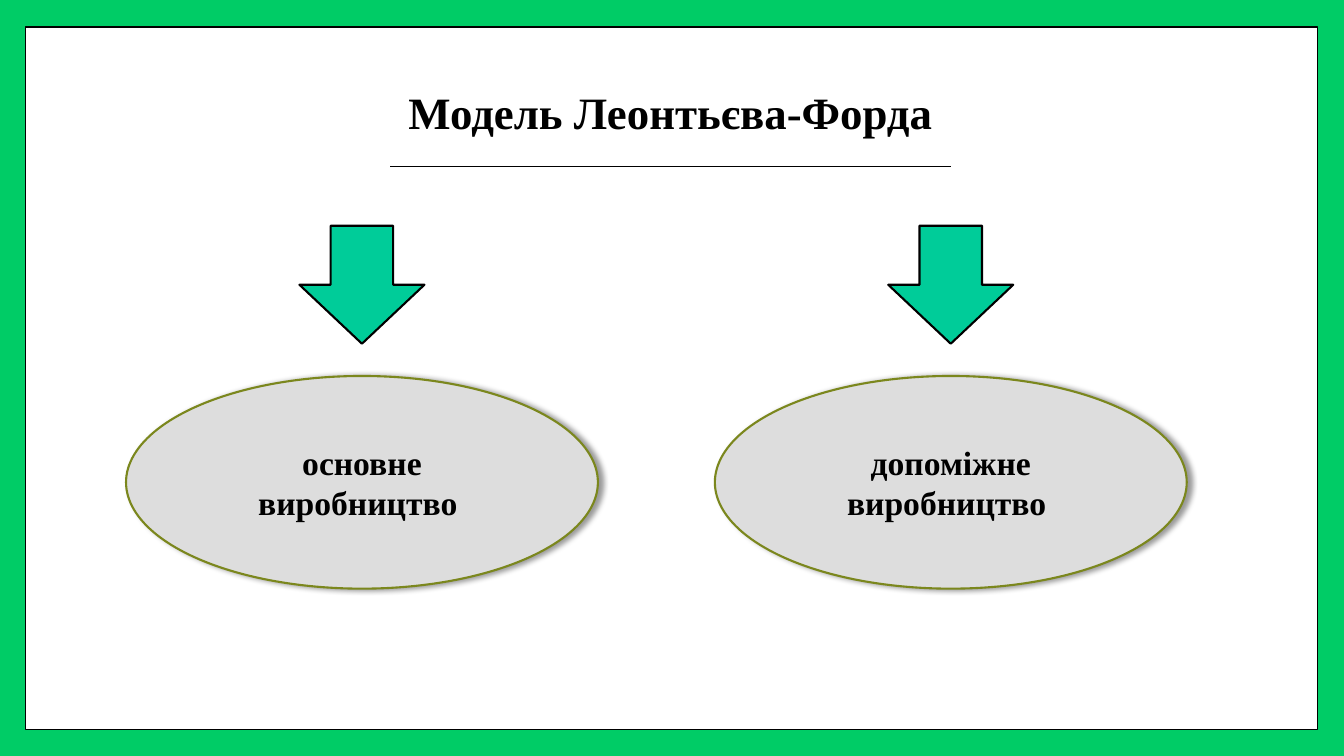
from lxml import etree
from pptx import Presentation
from pptx.dml.color import RGBColor
from pptx.enum.shapes import MSO_CONNECTOR, MSO_SHAPE
from pptx.enum.text import MSO_ANCHOR, PP_ALIGN
from pptx.oxml import parse_xml
from pptx.oxml.ns import nsdecls, qn
from pptx.util import Inches, Pt

GREEN = RGBColor(0x00, 0xCC, 0x66)
TEAL = RGBColor(0x00, 0xCC, 0x99)
OLIVE = RGBColor(0x7B, 0x87, 0x1D)
GREY = RGBColor(0xDD, 0xDD, 0xDD)
WHITE = RGBColor(0xFF, 0xFF, 0xFF)
BLACK = RGBColor(0x00, 0x00, 0x00)
FONT = "Times New Roman"

BRANCHES = ["основне виробництво ", "допоміжне виробництво "]
FIRST_CENTER, BRANCH_STEP = 3.59, 5.84
OVAL_W, OVAL_H = 4.68, 2.11
ARROW_W, ARROW_H = 1.24, 1.17

SHADOW = (
    f'<a:effectLst {nsdecls("a")}>'
    f'<a:outerShdw blurRad="{Pt(4)}" dist="{Pt(3)}" dir="0" algn="l" rotWithShape="0">'
    '<a:srgbClr val="000000"><a:alpha val="40000"/></a:srgbClr>'
    '</a:outerShdw></a:effectLst>'
)


def add_shape(slide, kind, x, y, w, h, fill, line, width):
    sp = slide.shapes.add_shape(kind, Inches(x), Inches(y), Inches(w), Inches(h))
    sp.shadow.inherit = False
    sp.fill.solid()
    sp.fill.fore_color.rgb = fill
    sp.line.color.rgb = line
    sp.line.width = Pt(width)
    return sp


def set_text(sp, text, size):
    tf = sp.text_frame
    tf.text = text
    tf.word_wrap = True
    tf.vertical_anchor = MSO_ANCHOR.MIDDLE
    p = tf.paragraphs[0]
    p.alignment = PP_ALIGN.CENTER
    font = p.runs[0].font
    font.name = FONT
    font.size = Pt(size)
    font.bold = True
    font.color.rgb = BLACK
    return p


def add_frame(slide):
    frame = add_shape(slide, MSO_SHAPE.RECTANGLE, 0.25, 0.27, 12.82, 6.97, WHITE, BLACK, 1)
    slide.shapes.title.element.addprevious(frame.element)


def add_title(slide, text):
    title = slide.shapes.title
    title.left, title.top = Inches(1.25), Inches(0.63)
    title.width, title.height = Inches(10.8), Inches(1.02)
    set_text(title, text, 32).line_spacing = 0.9


def add_rule(slide):
    rule = slide.shapes.add_connector(
        MSO_CONNECTOR.STRAIGHT, Inches(3.87), Inches(1.65), Inches(9.43), Inches(1.65))
    rule.line.color.rgb = BLACK
    rule.line.width = Pt(0.79)
    etree.SubElement(rule.element.spPr, qn("a:effectLst"))


def add_branch(slide, center, text):
    oval = add_shape(slide, MSO_SHAPE.OVAL, center - OVAL_W / 2, 3.73,
                     OVAL_W, OVAL_H, GREY, OLIVE, 1.5)
    spPr = oval.element.spPr
    spPr.replace(spPr.find(qn("a:effectLst")), parse_xml(SHADOW))
    set_text(oval, text, 24)
    add_shape(slide, MSO_SHAPE.DOWN_ARROW, center - ARROW_W / 2, 2.24,
              ARROW_W, ARROW_H, TEAL, BLACK, 1.5)


def main():
    prs = Presentation()
    prs.slide_width, prs.slide_height = Inches(13.33), Inches(7.5)
    slide = prs.slides.add_slide(prs.slide_layouts[5])
    slide.background.fill.solid()
    slide.background.fill.fore_color.rgb = GREEN
    add_frame(slide)
    add_title(slide, "Модель Леонтьєва-Форда")
    add_rule(slide)
    for i, text in enumerate(BRANCHES):
        add_branch(slide, FIRST_CENTER + i * BRANCH_STEP, text)
    prs.save("out.pptx")


if __name__ == "__main__":
    main()
